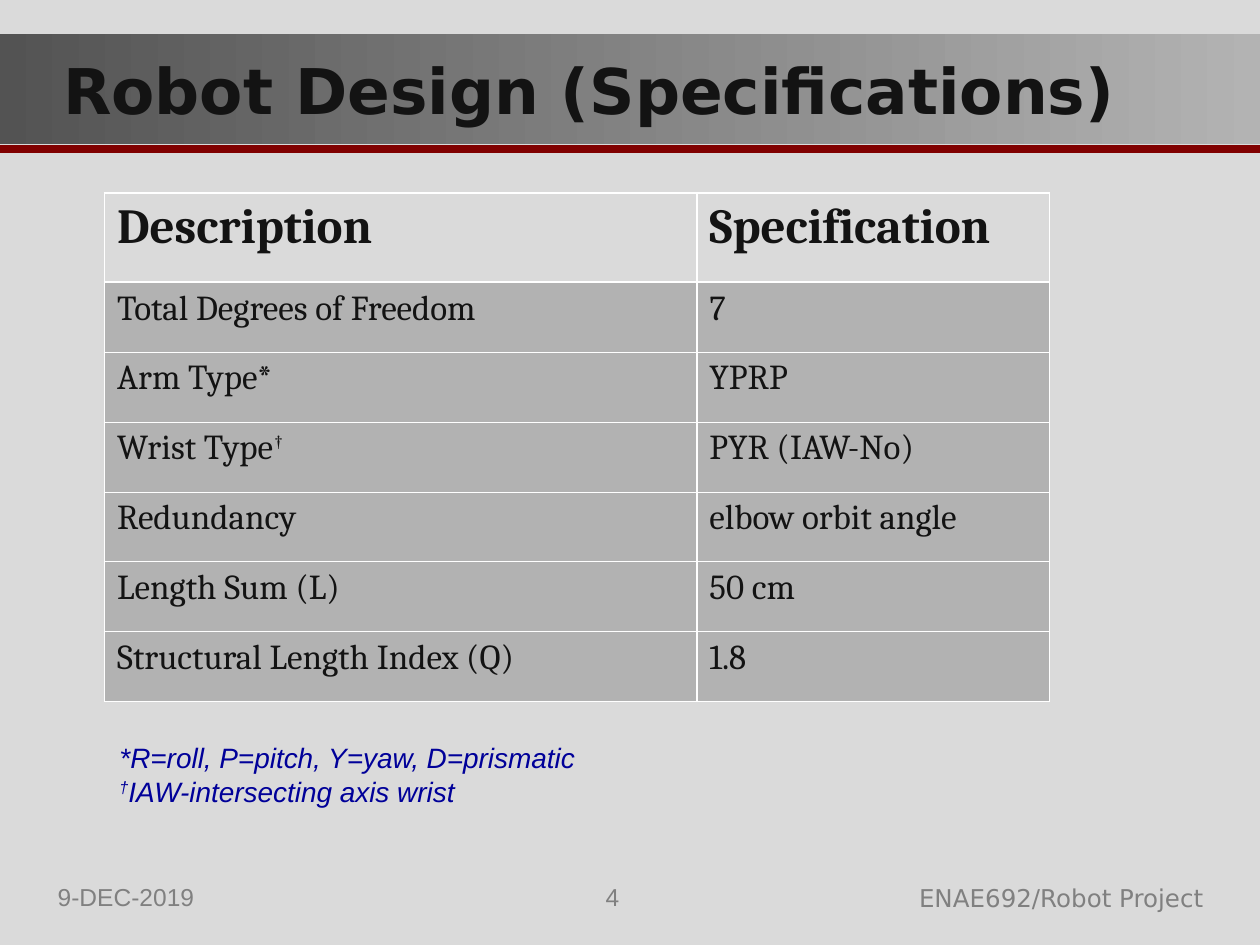
import lxml.etree
import pptx
import pptx.dml.color
import pptx.enum.shapes
import pptx.enum.text
import pptx.oxml.ns
import pptx.util

Inches = pptx.util.Inches
Align = pptx.enum.text.PP_ALIGN
INK, GREY, WHITE = "131313", "808080", "FFFFFF"
SPECIFICATIONS = [
    ("Description", "Specification"),
    ("Total Degrees of Freedom", "7"),
    ("Arm Type*", "YPRP"),
    ("Wrist Type†", "PYR (IAW-No)"),
    ("Redundancy", "elbow orbit angle"),
    ("Length Sum (L)", "50 cm"),
    ("Structural Length Index (Q)", "1.8"),
]


def color(value):
    """Return the colour for a hex string."""
    return pptx.dml.color.RGBColor.from_string(value)


def add_element(parent, tag, **attributes):
    """Append a DrawingML element to a parent and return it."""
    return lxml.etree.SubElement(parent, pptx.oxml.ns.qn(tag), attributes)


def write_text(paragraph, text, size, font="Arial", ink=INK, bold=False,
               italic=False, align=Align.LEFT):
    """Write formatted text into a paragraph, raising each dagger."""
    paragraph.alignment = align
    for part in filter(None, text.partition("†")):
        run = paragraph.add_run()
        run.text = part
        run.font.size = pptx.util.Pt(size)
        run.font.name = font
        run.font.bold = bold
        run.font.italic = italic
        run.font.color.rgb = color(ink)
        if part == "†":
            run.font._element.set("baseline", "30000")


def add_text(slide, lines, left, top, width, height, wrap=True, **text_format):
    """Add a text box with one paragraph per line."""
    box = slide.shapes.add_textbox(Inches(left), Inches(top), Inches(width), Inches(height))
    frame = box.text_frame
    frame.word_wrap = wrap
    for index, line in enumerate(lines):
        paragraph = frame.add_paragraph() if index else frame.paragraphs[0]
        write_text(paragraph, line, **text_format)


def add_title(slide, text, left, top, width, height):
    """Format the title placeholder as a gradient band above a red rule."""
    title = slide.shapes.title
    title.left, title.top = Inches(left), Inches(top)
    title.width, title.height = Inches(width), Inches(height)
    title.fill.gradient()
    title.fill.gradient_angle = 0
    for stop, shade, position in zip(title.fill.gradient_stops, ("535353", "B3B3B3"), (0, 1)):
        stop.color.rgb = color(shade)
        stop.position = position
    frame = title.text_frame
    frame.word_wrap = True
    frame.auto_size = pptx.enum.text.MSO_AUTO_SIZE.NONE
    frame.vertical_anchor = pptx.enum.text.MSO_ANCHOR.MIDDLE
    frame.margin_left = Inches(0.5)
    write_text(frame.paragraphs[0], text, 36, font="DejaVu Sans", bold=True)

    rule_top = Inches(top + height + 0.04)
    rule = slide.shapes.add_connector(
        pptx.enum.shapes.MSO_CONNECTOR.STRAIGHT,
        Inches(left), rule_top, Inches(left + width), rule_top)
    rule.line.color.rgb = color("800000")
    rule.line.width = pptx.util.Pt(4.5)
    add_element(rule._element.spPr, "a:effectLst")
    title._element.addprevious(rule._element)


def set_borders(cell, **widths):
    """Give a cell white borders, with widths in points by side."""
    properties = cell._tc.get_or_add_tcPr()
    for side, width in widths.items():
        line = add_element(properties, f"a:ln{side}", w=str(pptx.util.Pt(width)))
        fill = add_element(line, "a:solidFill")
        add_element(fill, "a:srgbClr", val=WHITE)


def add_specifications(slide, rows, left, top, column_widths, header_height, row_height):
    """Add the specification table with a clear header and grey rows."""
    height = header_height + row_height * (len(rows) - 1)
    table = slide.shapes.add_table(
        len(rows), len(column_widths), Inches(left), Inches(top),
        Inches(sum(column_widths)), Inches(height)).table
    table.first_row = table.horz_banding = False
    for column, width in zip(table.columns, column_widths):
        column.width = Inches(width)
    thick, thin = 1.08, 0.45
    last = len(rows) - 1
    for index, texts in enumerate(rows):
        header = index == 0
        table.rows[index].height = Inches(header_height if header else row_height)
        for cell, text in zip(table.rows[index].cells, texts):
            set_borders(cell, L=thick, R=thick,
                        T=thick if index <= 1 else thin,
                        B=thick if index in (0, last) else thin)
            if header:
                cell.fill.background()
            else:
                cell.fill.solid()
                cell.fill.fore_color.rgb = color("B2B2B2")
            write_text(cell.text_frame.paragraphs[0], text, 28 if header else 20,
                       font="Cambria", bold=header)


def add_footer(slide, top, height):
    """Add the date, page number and project name."""
    add_text(slide, ["9-DEC-2019"], 0.36, top, 2.34, height, size=14, ink=GREY)
    add_text(slide, ["4"], 4.02, top, 1.68, height, size=14, ink=GREY, align=Align.CENTER)
    add_text(slide, ["ENAE692/Robot Project"], 6.37, top + 0.01, 3.28, height - 0.02,
             size=14, font="DejaVu Sans", ink=GREY, align=Align.RIGHT)


def main():
    """Build and save the presentation."""
    presentation = pptx.Presentation()
    presentation.slide_width, presentation.slide_height = Inches(10), Inches(7.5)
    slide = presentation.slides.add_slide(presentation.slide_layouts[5])
    slide.background.fill.solid()
    slide.background.fill.fore_color.rgb = color("DADADA")
    add_title(slide, "Robot Design (Specifications)", 0, 0.27, 10, 0.87)
    add_specifications(slide, SPECIFICATIONS, 0.83, 1.53, (4.7, 2.8), 0.71, 0.555)
    add_text(slide, ["*R=roll, P=pitch, Y=yaw, D=prismatic", "†IAW-intersecting axis wrist"],
             0.85, 5.83, 3.83, 0.64, wrap=False, size=16, ink="000099", italic=True)
    add_footer(slide, 6.95, 0.4)
    presentation.save("out.pptx")


if __name__ == "__main__":
    main()
